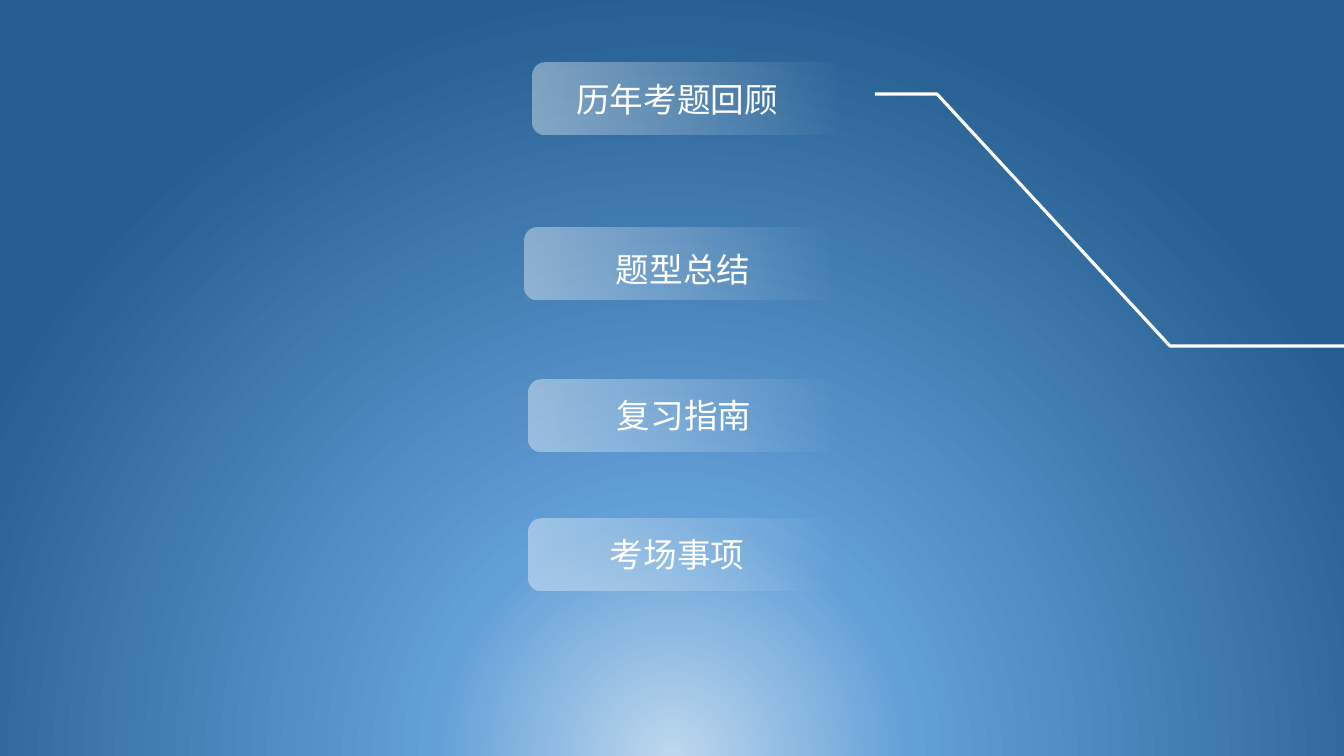
"""Builds an exam review menu slide: four fading bars and a bent line on a blue glow."""
from dataclasses import dataclass

from lxml.etree import SubElement
from pptx import Presentation
from pptx.dml.color import RGBColor
from pptx.enum.shapes import MSO_SHAPE
from pptx.enum.text import MSO_AUTO_SIZE
from pptx.oxml import parse_xml
from pptx.oxml.ns import nsdecls, qn
from pptx.util import Emu, Pt


@dataclass(frozen=True)
class Theme:
    white: str = "FFFFFF"
    glow: tuple = ((0, "BDD7EE", 100), (31, "63A0D7", 100), (100, "255E91", 100))
    fade: tuple = ((0, "FFFFFF", 40), (100, "FFFFFF", 0))
    font: str = "Noto Sans CJK SC"
    label_size: int = 24
    line_width: float = 2.25


EMU_PER_PX = 914400 / 100.8
theme = Theme()
white = RGBColor.from_string(theme.white)


def px(length):
    return Emu(round(length * EMU_PER_PX))


def paint_gradient(fill, parent, stops, direction):
    fill.solid()
    stop_xml = "".join(
        f'<a:gs pos="{position * 1000}"><a:srgbClr val="{color}">'
        f'<a:alpha val="{opacity * 1000}"/></a:srgbClr></a:gs>'
        for position, color, opacity in stops
    )
    gradient = parse_xml(
        f'<a:gradFill {nsdecls("a")} rotWithShape="1">'
        f"<a:gsLst>{stop_xml}</a:gsLst>{direction}</a:gradFill>"
    )
    parent.replace(parent.find(qn("a:solidFill")), gradient)


presentation = Presentation()
presentation.slide_width = px(1344)
presentation.slide_height = px(756)
slide = presentation.slides.add_slide(presentation.slide_layouts[6])

background_fill = slide.background.fill
background_fill.solid()
paint_gradient(
    background_fill,
    slide.element.find(".//" + qn("p:bgPr")),
    theme.glow,
    '<a:path path="circle"><a:fillToRect l="50000" t="130000" r="50000" b="-30000"/></a:path>',
)

BAR_THICKNESS, BAR_LENGTH, LABEL_HEIGHT = 72, 313, 50
menu = [
    (" 历年考题回顾", (653, -58), (559, 74), 234),
    ("题型总结", (645, 107), (606, 244), 156),
    ("复习指南", (649, 259), (607, 390), 156),
    ("考场事项", (649, 398), (600, 529), 156),
]
for wording, (bar_left, bar_top), (label_left, label_top), label_width in menu:
    group = slide.shapes.add_group_shape()

    bar = group.shapes.add_shape(
        MSO_SHAPE.ROUNDED_RECTANGLE,
        px(bar_left), px(bar_top), px(BAR_THICKNESS), px(BAR_LENGTH),
    )
    bar.rotation = 270
    bar.shadow.inherit = False
    bar.line.fill.background()
    paint_gradient(
        bar.fill, bar.element.spPr, theme.fade, '<a:lin ang="5400000" scaled="0"/>'
    )

    label = group.shapes.add_textbox(
        px(label_left), px(label_top), px(label_width), px(LABEL_HEIGHT)
    )
    label.text_frame.word_wrap = False
    label.text_frame.auto_size = MSO_AUTO_SIZE.SHAPE_TO_FIT_TEXT
    run = label.text_frame.paragraphs[0].add_run()
    run.text = wording
    run.font.size = Pt(theme.label_size)
    run.font.color.rgb = white
    run.font.name = theme.font
    SubElement(run.font._element, qn("a:ea"), typeface=theme.font)

builder = slide.shapes.build_freeform(875, 94, scale=EMU_PER_PX)
builder.add_line_segments([(937, 94), (1170, 346), (1344, 346)], close=False)
bent_line = builder.convert_to_shape()
bent_line.shadow.inherit = False
bent_line.fill.background()
bent_line.line.color.rgb = white
bent_line.line.width = Pt(theme.line_width)

presentation.save("out.pptx")
